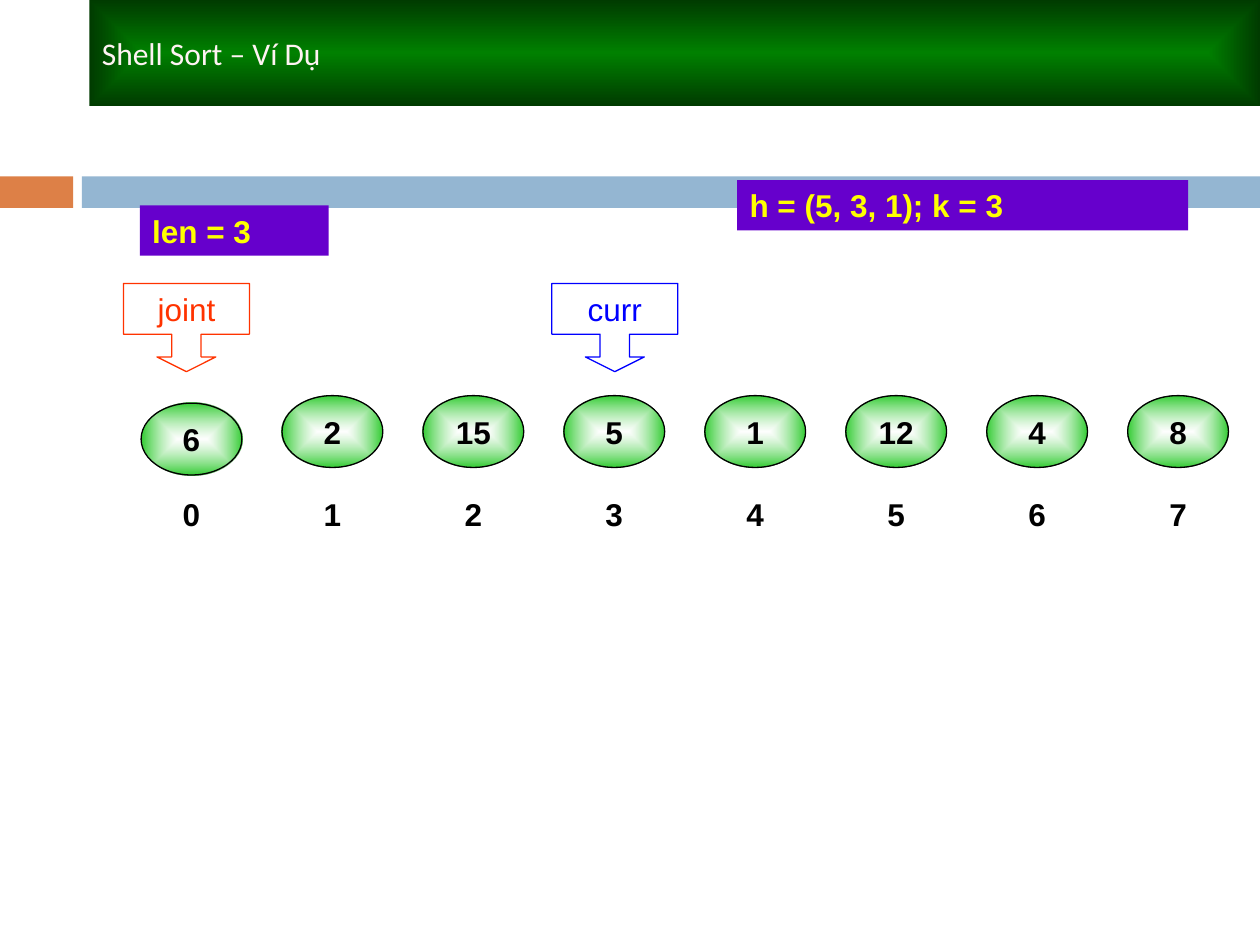
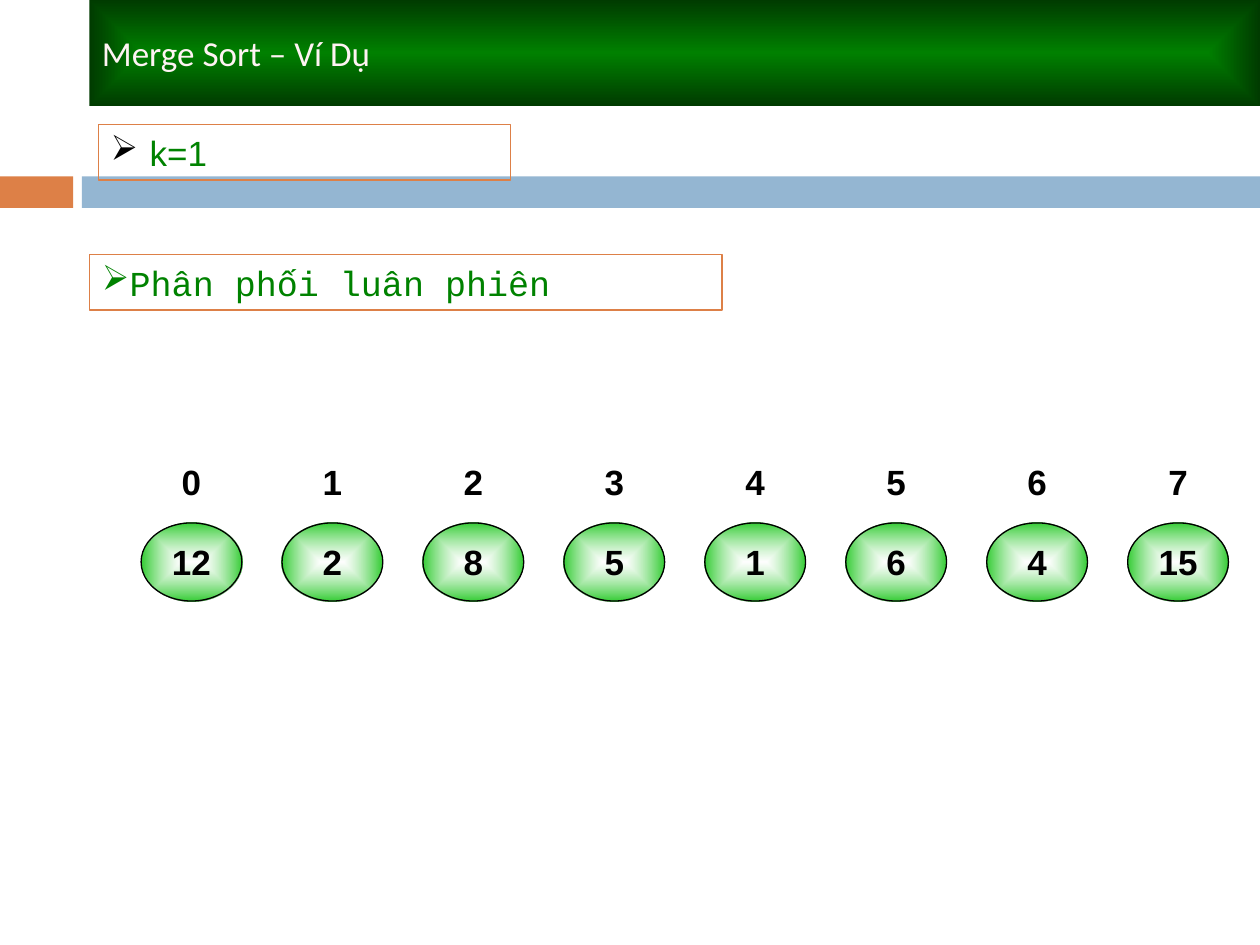
"""Build two slides with worked examples of Shell sort and Merge sort."""
import pptx
import pptx.dml.color
import pptx.enum.shapes
import pptx.enum.text
import pptx.oxml
import pptx.oxml.ns
import pptx.util

Inches = pptx.util.Inches
Pt = pptx.util.Pt
SHAPE = pptx.enum.shapes.MSO_SHAPE
ALIGN = pptx.enum.text.PP_ALIGN
hex_color = pptx.dml.color.RGBColor.from_string

ORANGE, BLUE_BAND, GREEN, BLACK = "DD8047", "94B6D2", "008200", "000000"
TITLE_FILL = (("008000", 100), ("003B00", 100))
NODE_FILL = (("FFFFFF", 60), ("33CC33", 100))
NODE_LEFT, NODE_WIDTH, NODE_PITCH = 1.12, 0.8, (8.95 - 1.12) / 7


def set_gradient(shape, colors):
    """Fill a shape from its centre outwards with two (hex, opacity) colours."""
    stops = "".join(
        f'<a:gs pos="{position}"><a:srgbClr val="{color}"><a:alpha val="{opacity * 1000}"/></a:srgbClr></a:gs>'
        for position, (color, opacity) in zip((0, 100000), colors))
    gradient = pptx.oxml.parse_xml(
        f'<a:gradFill {pptx.oxml.ns.nsdecls("a")} rotWithShape="1"><a:gsLst>{stops}</a:gsLst>'
        '<a:path path="rect"><a:fillToRect l="50000" t="50000" r="50000" b="50000"/></a:path></a:gradFill>')
    shape.fill.background()
    properties = shape.element.spPr
    properties.replace(properties.find(pptx.oxml.ns.qn("a:noFill")), gradient)


def add_box(slide, kind, place, text="", size=18, color=BLACK, fill=None, line=None,
            bold=False, font="Arial", align=ALIGN.LEFT, bullet=None, indent=0):
    """Add a preset shape with one line of text."""
    shape = slide.shapes.add_shape(kind, *[Inches(length) for length in place])
    shape.shadow.inherit = False
    if fill is None:
        shape.fill.background()
    elif isinstance(fill, tuple):
        set_gradient(shape, fill)
    else:
        shape.fill.solid()
        shape.fill.fore_color.rgb = hex_color(fill)
    if line:
        shape.line.color.rgb = hex_color(line)
        shape.line.width = Pt(0.75)
    else:
        shape.line.fill.background()
    if text:
        shape.text_frame.text = text
        paragraph = shape.text_frame.paragraphs[0]
        paragraph.alignment = align
        if bullet:
            properties = paragraph._p.get_or_add_pPr()
            properties.set("marL", str(Inches(indent)))
            properties.set("indent", str(-Inches(indent)))
            namespace = pptx.oxml.ns.nsdecls("a")
            properties.append(pptx.oxml.parse_xml(
                f'<a:buClr {namespace}><a:srgbClr val="{bullet}"/></a:buClr>'))
            properties.append(pptx.oxml.parse_xml(f'<a:buChar {namespace} char="➢"/>'))
        run = paragraph.runs[0]
        run.font.name = font
        run.font.size = Pt(size)
        run.font.bold = bold
        run.font.color.rgb = hex_color(color)
    return shape


presentation = pptx.Presentation()
presentation.slide_width = Inches(10)
presentation.slide_height = Inches(7.5)

examples = [
    {"title": "Shell Sort – Ví Dụ", "size": 18, "values": [6, 2, 15, 5, 1, 12, 4, 8],
     "node_tops": [3.2] + [3.14] * 7, "index_top": 3.79, "height": 0.57},
    {"title": "Merge Sort – Ví Dụ", "size": 20, "values": [12, 2, 8, 5, 1, 6, 4, 15],
     "node_tops": [4.15] * 8, "index_top": 3.51, "height": 0.62},
]
for example in examples:
    slide = presentation.slides.add_slide(presentation.slide_layouts[6])
    size, height = example["size"], example["height"]
    add_box(slide, SHAPE.RECTANGLE, (0, 1.4, 0.58, 0.25), fill=ORANGE)
    add_box(slide, SHAPE.RECTANGLE, (0.65, 1.4, 9.35, 0.25), fill=BLUE_BAND)
    for index, (value, node_top) in enumerate(zip(example["values"], example["node_tops"])):
        left = NODE_LEFT + index * NODE_PITCH
        add_box(slide, SHAPE.OVAL, (left, node_top, NODE_WIDTH, height), str(value), size,
                fill=NODE_FILL, line=BLACK, bold=True, align=ALIGN.CENTER)
        add_box(slide, SHAPE.OVAL, (left, example["index_top"], NODE_WIDTH, height), str(index), size,
                bold=True, align=ALIGN.CENTER)
    add_box(slide, SHAPE.RECTANGLE, (0.71, 0, 9.29, 0.84), example["title"], size, "FFF3F3",
            fill=TITLE_FILL, font="Calibri")

shell_slide, merge_slide = presentation.slides

for place, text in [((5.85, 1.43, 3.58, 0.4), "h = (5, 3, 1); k = 3"),
                    ((1.11, 1.63, 1.5, 0.4), "len = 3")]:
    add_box(shell_slide, SHAPE.RECTANGLE, place, text, color="FFFF00", fill="6600CC", bold=True)

for left, text, color in [(4.38, "curr", "0000FF"), (0.98, "joint", "FF3300")]:
    pointer = add_box(shell_slide, SHAPE.DOWN_ARROW_CALLOUT, (left, 2.25, 1, 0.7), text,
                      color=color, line=color, align=ALIGN.CENTER)
    for number, adjustment in enumerate((0.334, 0.334, 0.167, 0.575)):
        pointer.adjustments[number] = adjustment

for place, text, font, bullet, indent in [
        ((0.71, 2.02, 5.02, 0.44), "Phân phối luân phiên", "Courier New", GREEN, 0),
        ((0.78, 0.99, 3.27, 0.44), "k=1", "Arial", BLACK, 0.31)]:
    add_box(merge_slide, SHAPE.RECTANGLE, place, text, 20, GREEN, line=ORANGE,
            font=font, bullet=bullet, indent=indent)

presentation.save("out.pptx")
